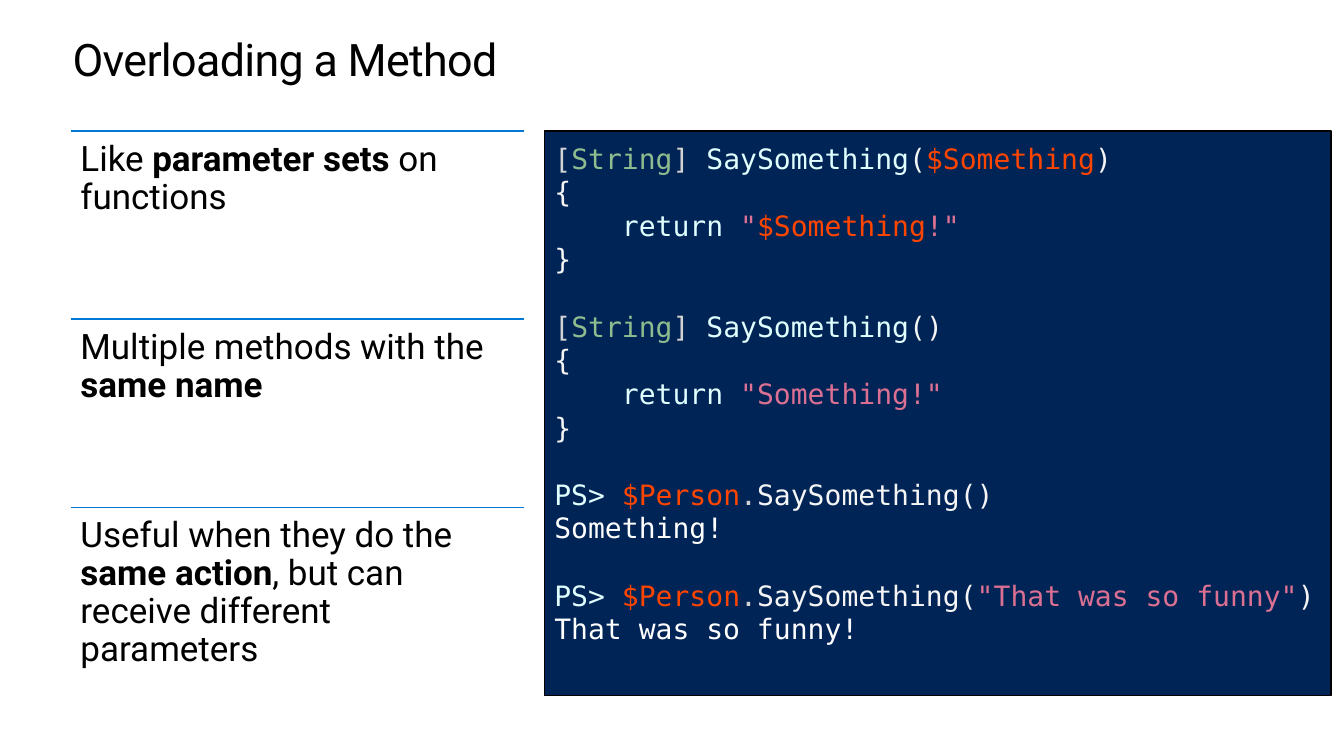
from pptx import Presentation
from pptx.dml.color import RGBColor
from pptx.enum.shapes import MSO_CONNECTOR, MSO_SHAPE
from pptx.enum.text import MSO_ANCHOR, PP_ALIGN
from pptx.oxml.ns import qn
from pptx.util import Inches, Pt
from lxml.etree import SubElement

BLACK = RGBColor(0x00, 0x00, 0x00)
WHITE = RGBColor(0xFF, 0xFF, 0xFF)
RULE_BLUE = RGBColor(0x00, 0x78, 0xD4)
CONSOLE_NAVY = RGBColor(0x01, 0x24, 0x56)
BRACKET = RGBColor(0xD3, 0xD3, 0xD3)
TYPE = RGBColor(0x8F, 0xBC, 0x8F)
COMMAND = RGBColor(0xE0, 0xFF, 0xFF)
PLAIN = RGBColor(0xF5, 0xF5, 0xF5)
VARIABLE = RGBColor(0xFF, 0x45, 0x00)
STRING = RGBColor(0xDB, 0x70, 0x93)

POINTS = [
    [("Like ", False), ("parameter sets", True), (" on functions", False)],
    [("Multiple methods with the ", False), ("same name", True)],
    [("Useful when they do the ", False), ("same action", True),
     (", but can receive different parameters", False)],
]

SIGNATURE = [("[", BRACKET), ("String", TYPE), ("] ", BRACKET),
             ("SaySomething", COMMAND)]
OPEN = [("{", PLAIN)]
CLOSE = [("}", PLAIN)]
RETURN = [("    ", PLAIN), ("return ", COMMAND)]
CALL = [("PS> ", COMMAND), ("$Person", VARIABLE), (".", BRACKET)]

CODE_BLOCKS = [
    [SIGNATURE + [("(", PLAIN), ("$Something", VARIABLE), (")", PLAIN)],
     OPEN,
     RETURN + [('"', STRING), ("$Something", VARIABLE), ('!"', STRING)],
     CLOSE],
    [SIGNATURE + [("()", PLAIN)],
     OPEN,
     RETURN + [('"Something!"', STRING)],
     CLOSE],
    [CALL + [("SaySomething()", PLAIN)],
     [("Something!", WHITE)]],
    [CALL + [("SaySomething(", PLAIN), ('"That was so funny"', STRING),
             (")", PLAIN)],
     [("That was so funny!", WHITE)]],
]


def add_run(p, text, size=25, font="Roboto", color=BLACK, bold=False,
            tracking=None):
    r = p.add_run()
    r.text = text
    r.font.size = Pt(size)
    r.font.name = font
    r.font.color.rgb = color
    r.font.bold = bold
    if tracking is not None:
        r.font._element.set("spc", str(int(tracking * 100)))


def set_frame(sp, inset=0.1, wrap=True):
    tf = sp.text_frame
    tf.word_wrap = wrap
    tf.vertical_anchor = MSO_ANCHOR.TOP
    tf.margin_left = tf.margin_right = Inches(inset)
    tf.margin_top = tf.margin_bottom = Inches(inset)
    return tf


def add_title(s, left, top, width, height):
    sp = s.shapes.add_textbox(Inches(left), Inches(top), Inches(width),
                              Inches(height))
    p = set_frame(sp, inset=0, wrap=False).paragraphs[0]
    p.line_spacing = Pt(36.2)
    add_run(p, "Overloading a Method", size=32, tracking=-0.5)


def add_points(s, left, top, width, height):
    row = height / len(POINTS)
    for i, point in enumerate(POINTS):
        y = Inches(top + i * row)
        rule = s.shapes.add_connector(MSO_CONNECTOR.STRAIGHT, Inches(left), y,
                                      Inches(left + width), y)
        rule.line.color.rgb = RULE_BLUE
        rule.line.width = Pt(1)
        SubElement(rule._element.spPr, qn("a:effectLst"))
        sp = s.shapes.add_textbox(Inches(left), y, Inches(width), Inches(row))
        p = set_frame(sp).paragraphs[0]
        p.line_spacing = 0.9
        for text, bold in point:
            add_run(p, text, bold=bold)


def add_console(s, left, top, width, height):
    sp = s.shapes.add_shape(MSO_SHAPE.RECTANGLE, Inches(left), Inches(top),
                            Inches(width), Inches(height))
    sp.shadow.inherit = False
    sp.fill.solid()
    sp.fill.fore_color.rgb = CONSOLE_NAVY
    sp.line.color.rgb = BLACK
    sp.line.width = Pt(1)
    tf = set_frame(sp)
    for b, block in enumerate(CODE_BLOCKS):
        for n, line in enumerate(block):
            first = b == 0 and n == 0
            p = tf.paragraphs[0] if first else tf.add_paragraph()
            p.alignment = PP_ALIGN.LEFT
            if b > 0 and n == 0:
                p.space_before = Pt(24)
            for text, color in line:
                add_run(p, text, size=20, font="DejaVu Sans Mono", color=color)


def main():
    prs = Presentation()
    prs.slide_width = Inches(13.33)
    prs.slide_height = Inches(7.5)
    s = prs.slides.add_slide(prs.slide_layouts[6])
    add_title(s, 0.72, 0.35, 4.76, 0.5)
    add_points(s, 0.7, 1.3, 4.5, 5.6)
    add_console(s, 5.4, 1.3, 7.8, 5.6)
    prs.save("out.pptx")


if __name__ == "__main__":
    main()
